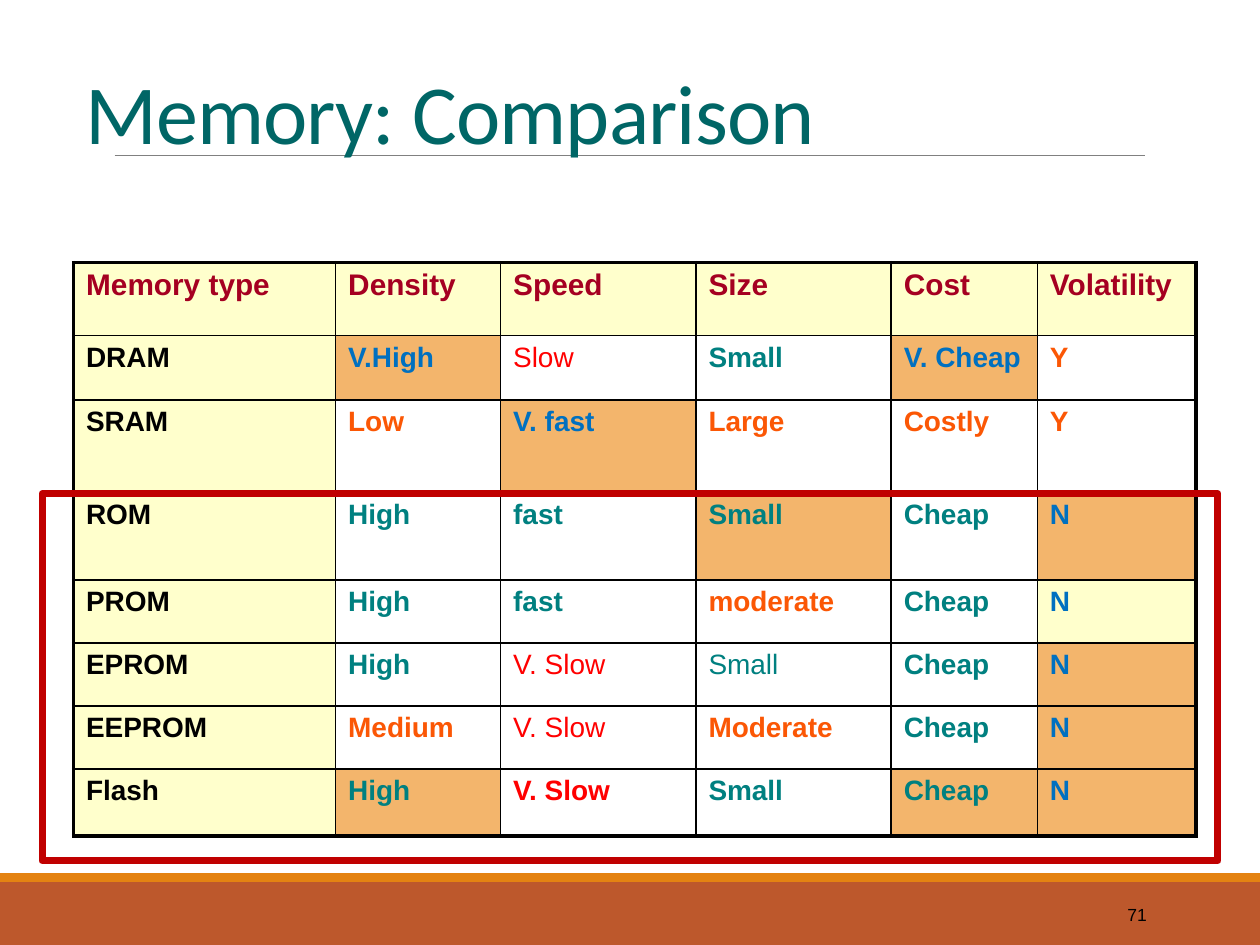
from lxml import etree
from pptx import Presentation
from pptx.dml.color import RGBColor
from pptx.enum.shapes import MSO_CONNECTOR, MSO_SHAPE
from pptx.enum.text import MSO_ANCHOR, PP_ALIGN
from pptx.oxml.ns import qn
from pptx.util import Pt

RECTANGLE = MSO_SHAPE.RECTANGLE
STRAIGHT = MSO_CONNECTOR.STRAIGHT
LEFT, RIGHT = PP_ALIGN.LEFT, PP_ALIGN.RIGHT
MIDDLE, BOTTOM = MSO_ANCHOR.MIDDLE, MSO_ANCHOR.BOTTOM

COLORS = {
    "black": "000000", "gray": "808080", "rust": "BD582C", "amber": "E48312",
    "title": "006666", "header": "A50021", "cream": "FFFFCC", "highlight": "F3B56C",
    "best": "0070C0", "good": "008080", "fair": "FB5705", "poor": "FF0000",
    "frame": "C00000",
}

TITLE = "Memory: Comparison"
PAGE_NUMBER = "71"
ROWS = [
    ["Memory type", "Density", "Speed", "Size", "Cost", "Volatility"],
    ["DRAM", "V.High", "Slow", "Small", "V. Cheap", "Y"],
    ["SRAM", "Low", "V. fast", "Large", "Costly", "Y"],
    ["ROM", "High", "fast", "Small", "Cheap", "N"],
    ["PROM", "High", "fast", "moderate", "Cheap", "N"],
    ["EPROM", "High", "V. Slow", "Small", "Cheap", "N"],
    ["EEPROM", "Medium", "V. Slow", "Moderate", "Cheap", "N"],
    ["Flash", "High", "V. Slow", "Small", "Cheap", "N"],
]
RATINGS = {
    "best": {"V.High", "V. Cheap", "V. fast", "N"},
    "good": {"High", "fast", "Small", "Cheap"},
    "fair": {"Low", "Large", "Costly", "Medium", "moderate", "Moderate", "Y"},
    "poor": {"Slow", "V. Slow"},
}
HIGHLIGHTED = {(1, 1), (1, 4), (2, 2), (3, 3), (3, 5), (5, 5), (6, 5), (7, 1), (7, 4), (7, 5)}
CREAM_BODY = {(4, 5)}
NOT_BOLD = {(1, 2), (5, 2), (5, 3), (6, 2)}
COLUMN_WIDTHS = [149.8, 94.3, 111.6, 111.6, 83.5, 90.7]
ROW_HEIGHTS = [41.8, 36.7, 53.3, 49.7, 36, 36, 36, 38.2]
THIN, THICK = 1, 2.25


def rgb(name):
    return RGBColor.from_string(COLORS[name])


def write(text_frame, text, size, color, font="Arial", bold=False, align=LEFT,
          line_spacing=None, tracking=None):
    paragraph = text_frame.paragraphs[0]
    paragraph.alignment = align
    if line_spacing:
        paragraph.line_spacing = line_spacing
    run = paragraph.add_run()
    run.text = text
    run.font.name, run.font.size, run.font.bold = font, Pt(size), bold
    run.font.color.rgb = rgb(color)
    if tracking:
        run.font._element.set("spc", str(int(tracking * 100)))


def add_text_box(slide, box, anchor, text, **text_format):
    text_frame = slide.shapes.add_textbox(*map(Pt, box)).text_frame
    text_frame.word_wrap = True
    text_frame.vertical_anchor = anchor
    write(text_frame, text, **text_format)


def add_rectangle(slide, box, fill=None, line=None, width=0):
    shape = slide.shapes.add_shape(RECTANGLE, *map(Pt, box))
    shape.shadow.inherit = False
    if fill:
        shape.fill.solid()
        shape.fill.fore_color.rgb = rgb(fill)
    else:
        shape.fill.background()
    if line:
        shape.line.color.rgb = rgb(line)
        shape.line.width = Pt(width)
        etree.SubElement(shape.line._get_or_add_ln(), qn("a:round"))
    else:
        shape.line.fill.background()


def add_rule(slide, start, end):
    connector = slide.shapes.add_connector(STRAIGHT, *map(Pt, start + end))
    connector.line.color.rgb = rgb("gray")
    connector.line.width = Pt(0.5)
    etree.SubElement(connector._element.spPr, qn("a:effectLst"))


def set_borders(cell, widths):
    properties = cell._tc.get_or_add_tcPr()
    for side, width in widths.items():
        line = etree.SubElement(properties, qn("a:ln" + side), w=str(Pt(width)))
        fill = etree.SubElement(line, qn("a:solidFill"))
        etree.SubElement(fill, qn("a:srgbClr"), val=COLORS["black"])


def text_color(row, column, text):
    if row == 0:
        return "header"
    if column == 0:
        return "black"
    return next(rating for rating, words in RATINGS.items() if text in words)


def add_comparison_table(slide, left, top):
    last_row, last_column = len(ROWS) - 1, len(COLUMN_WIDTHS) - 1
    box = (left, top, sum(COLUMN_WIDTHS), sum(ROW_HEIGHTS))
    table = slide.shapes.add_table(last_row + 1, last_column + 1, *map(Pt, box)).table
    table.first_row = table.horz_banding = False
    for column, width in zip(table.columns, COLUMN_WIDTHS):
        column.width = Pt(width)
    for row, height in zip(table.rows, ROW_HEIGHTS):
        row.height = Pt(height)
    for i, texts in enumerate(ROWS):
        for j, text in enumerate(texts):
            cell = table.cell(i, j)
            write(cell.text_frame, text, size=16 if i else 17,
                  color=text_color(i, j, text), bold=(i, j) not in NOT_BOLD)
            set_borders(cell, {
                "L": THIN if j else THICK,
                "R": THICK if j == last_column else THIN,
                "T": THIN if i else THICK,
                "B": THICK if i == last_row else THIN,
            })
            if (i, j) in HIGHLIGHTED:
                cell.fill.solid()
                cell.fill.fore_color.rgb = rgb("highlight")
            elif i == 0 or j == 0 or (i, j) in CREAM_BODY:
                cell.fill.solid()
                cell.fill.fore_color.rgb = rgb("cream")
            else:
                cell.fill.background()


def main():
    """Build the memory comparison slide."""
    presentation = Presentation()
    presentation.slide_width, presentation.slide_height = Pt(720), Pt(540)
    slide = presentation.slides.add_slide(presentation.slide_layouts[6])
    add_rectangle(slide, (0, 504, 720, 36), fill="rust")
    add_rectangle(slide, (0, 499, 720, 5), fill="amber")
    add_rule(slide, (65.5, 88.6), (654.5, 88.6))
    add_text_box(slide, (584.6, 508.3, 77.8, 28.8), MIDDLE, PAGE_NUMBER,
                 size=10, color="black", align=RIGHT)
    add_text_box(slide, (41.8, 36, 648, 59.8), BOTTOM, TITLE, size=48, color="title",
                 font="Calibri", line_spacing=0.85, tracking=-0.5)
    add_comparison_table(slide, 42, 150)
    add_rectangle(slide, (24, 282, 672, 210), line="frame", width=4)
    presentation.save("out.pptx")


if __name__ == "__main__":
    main()
